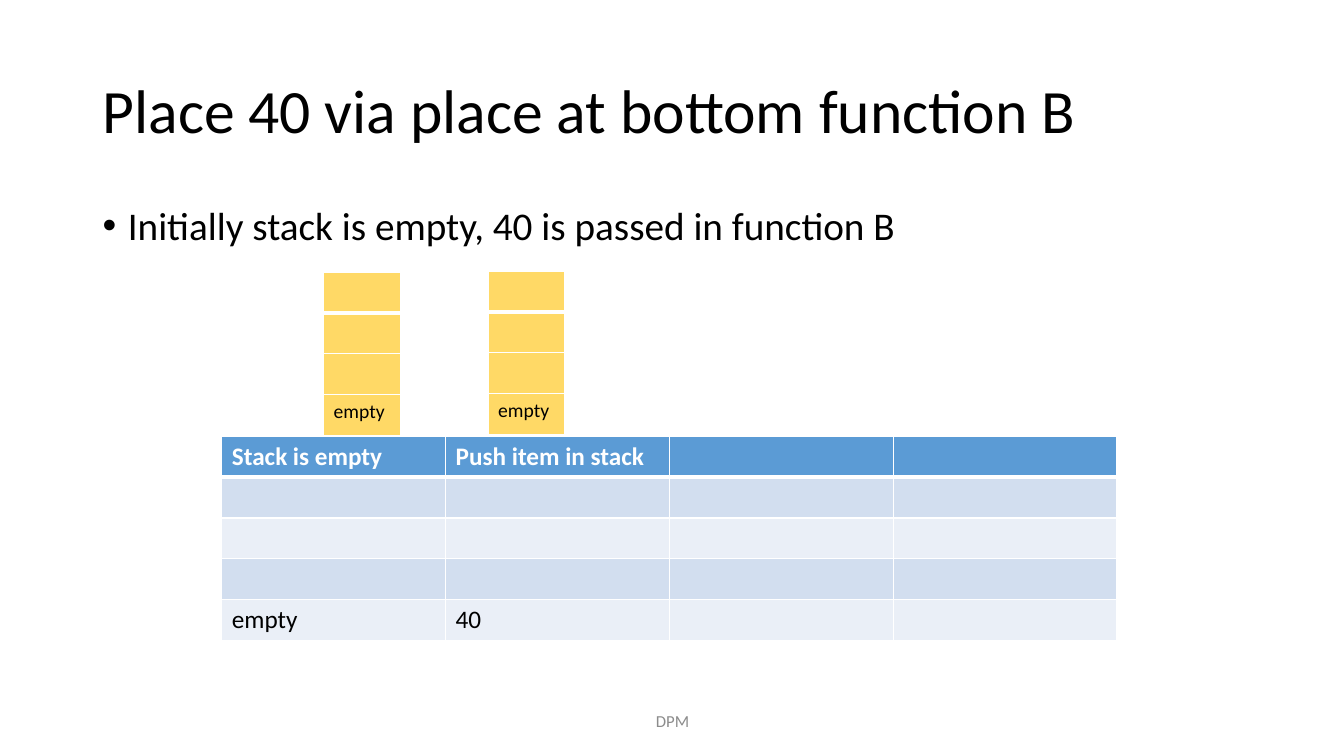
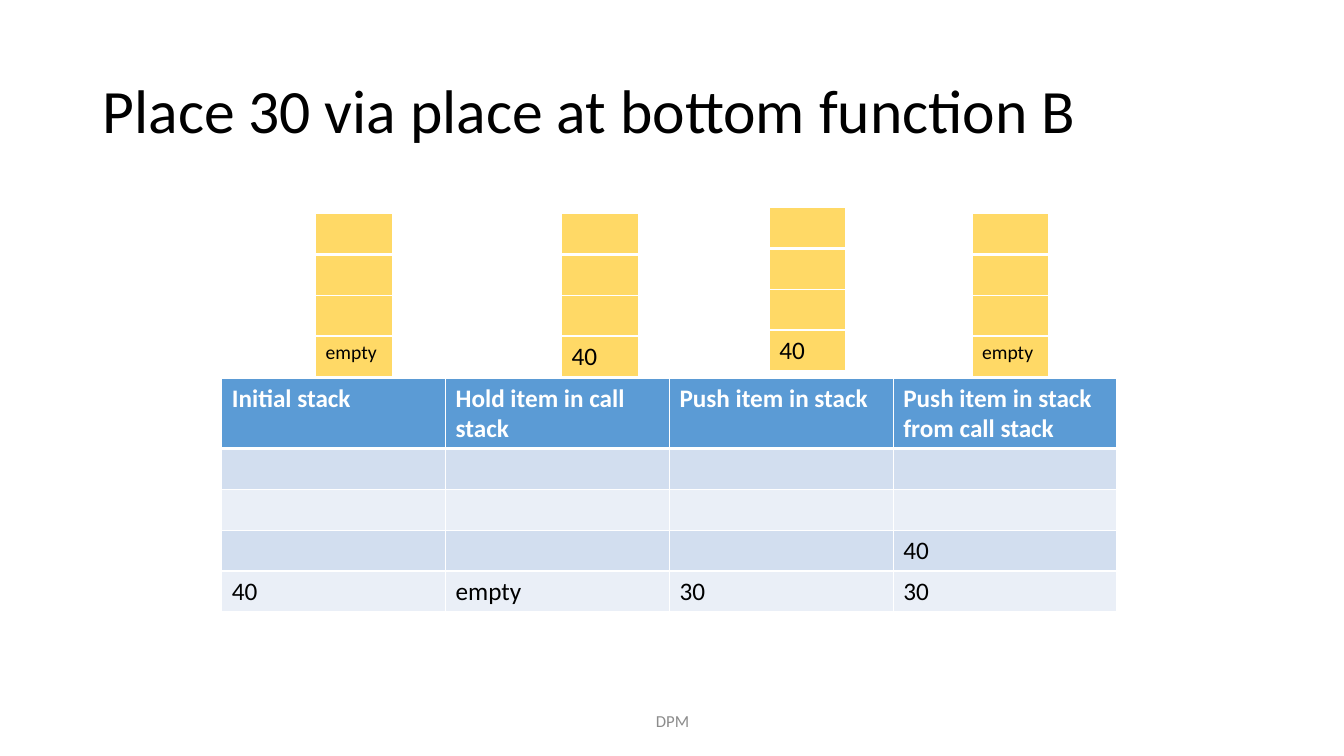
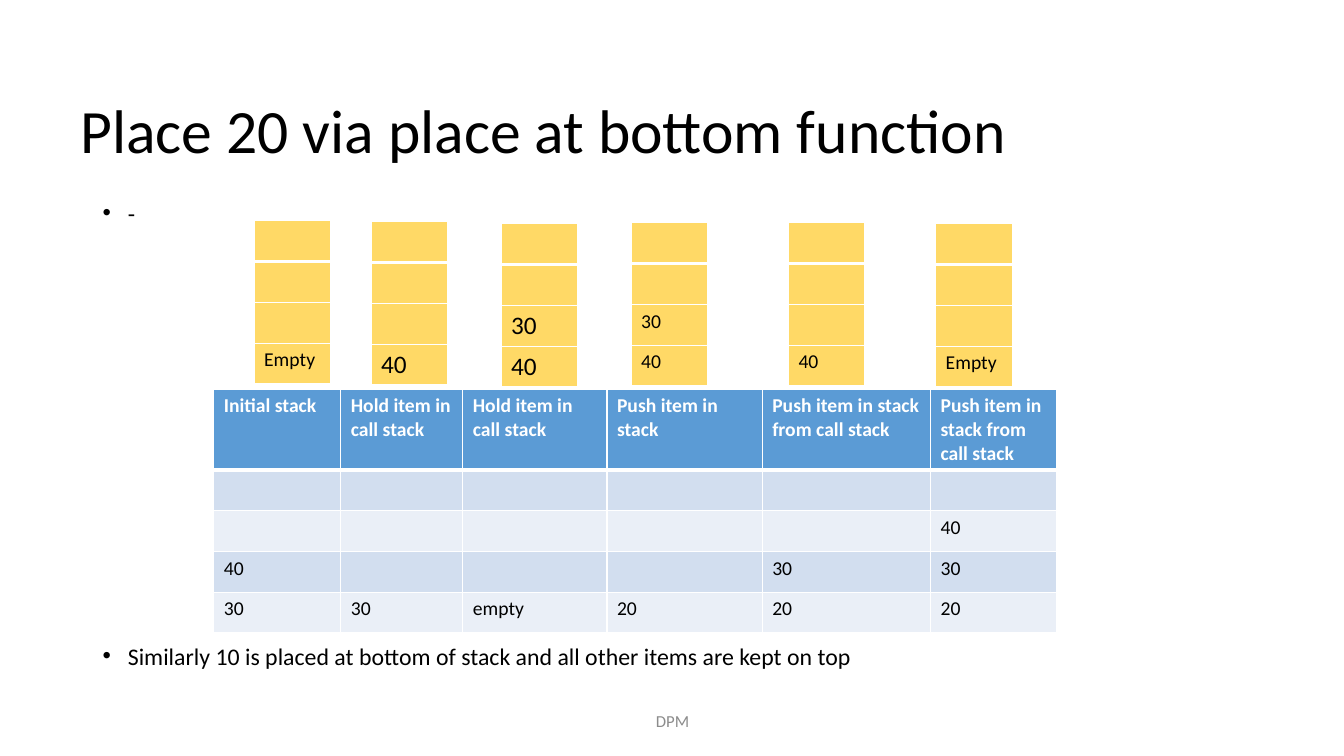
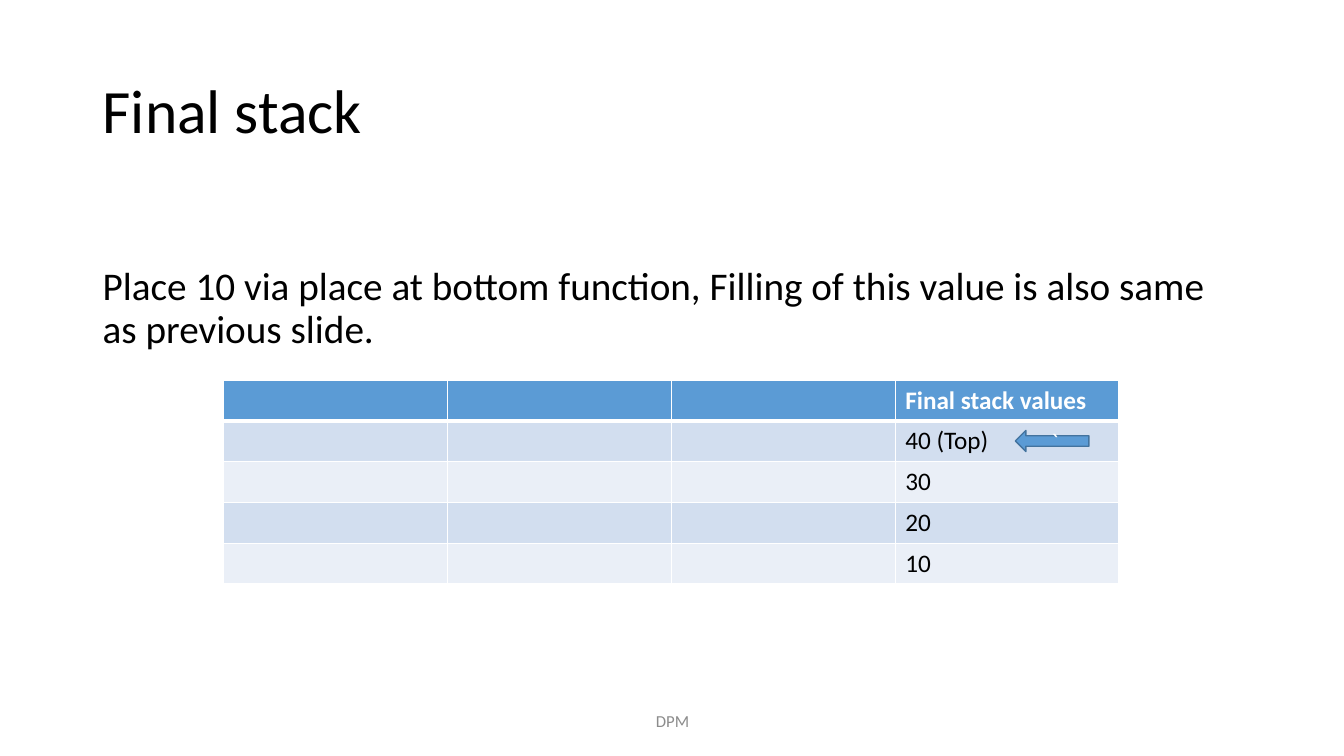
from lxml.etree import SubElement
from pptx import Presentation
from pptx.dml.color import RGBColor
from pptx.enum.shapes import MSO_SHAPE
from pptx.enum.text import MSO_ANCHOR, PP_ALIGN
from pptx.oxml.ns import qn
from pptx.util import Inches, Pt

COLORS = {
    "text": "000000",
    "white": "FFFFFF",
    "header": "5B9BD5",
    "band_dark": "D2DEEF",
    "band_light": "EAEFF7",
    "stack": "FFD966",
    "arrow_line": "43739E",
    "footer": "8C8C8C",
}
FONT = "Calibri"
ROW_HEIGHT = 0.405
STACK_WIDTH = 0.76
FOUR_COLUMNS = [2.22] * 4


def color(name):
    return RGBColor.from_string(COLORS[name])


class StackDeck:
    def __init__(self):
        self.deck = Presentation()
        self.deck.slide_width = Inches(13.33)
        self.deck.slide_height = Inches(7.5)
        self.page = None

    def add_page(self, title, left=0.92, top=0.4):
        self.page = self.deck.slides.add_slide(self.deck.slide_layouts[6])
        self.text(title, left, top, 11.5, 1.45, 44, spacing=0.9, anchor=MSO_ANCHOR.MIDDLE)
        self.text("DPM", 4.42, 6.95, 4.5, 0.4, 12, "footer",
                  anchor=MSO_ANCHOR.MIDDLE, align=PP_ALIGN.CENTER)

    def style(self, para, size, color_name, bold=False):
        for span in para.runs:
            span.font.name = FONT
            span.font.size = Pt(size)
            span.font.bold = bold
            span.font.color.rgb = color(color_name)

    def text(self, words, left, top, width, height, size, color_name="text",
             spacing=None, anchor=MSO_ANCHOR.TOP, align=PP_ALIGN.LEFT):
        box = self.page.shapes.add_textbox(Inches(left), Inches(top), Inches(width), Inches(height))
        frame = box.text_frame
        frame.word_wrap = True
        frame.vertical_anchor = anchor
        frame.text = words
        para = frame.paragraphs[0]
        para.alignment = align
        para.line_spacing = spacing
        self.style(para, size, color_name)
        return para

    def bullet(self, words, top, size, spacing):
        para = self.text(words, 0.92, top, 11.5, 0.5, size, spacing=spacing)
        properties = para._p.get_or_add_pPr()
        properties.set("marL", str(Inches(0.25)))
        properties.set("indent", str(-Inches(0.25)))
        SubElement(properties, qn("a:buFont"), typeface="Arial")
        SubElement(properties, qn("a:buChar"), char="•")

    def border(self, cell, side, points):
        line = SubElement(cell._tc.get_or_add_tcPr(), qn("a:ln" + side), w=str(Pt(points)))
        fill = SubElement(line, qn("a:solidFill"))
        SubElement(fill, qn("a:srgbClr"), val=COLORS["white"])

    def grid(self, left, top, widths, heights, fills, texts, size, header=False):
        frame = self.page.shapes.add_table(
            len(heights), len(widths), Inches(left), Inches(top),
            Inches(sum(widths)), Inches(sum(heights)))
        table = frame.table
        for column, width in zip(table.columns, widths):
            column.width = Inches(width)
        for number, (row, height) in enumerate(zip(table.rows, heights)):
            row.height = Inches(height)
            heading = header and number == 0
            for index, cell in enumerate(row.cells):
                self.border(cell, "L", 1)
                self.border(cell, "R", 1)
                self.border(cell, "T", 3 if number == 1 else 1)
                self.border(cell, "B", 3 if number == 0 else 1)
                cell.fill.solid()
                cell.fill.fore_color.rgb = color(fills[number])
                cell.text = texts.get((number, index), "")
                self.style(cell.text_frame.paragraphs[0], size,
                           "white" if heading else "text", heading)

    def steps(self, left, top, widths, texts, size=18, header_height=ROW_HEIGHT):
        fills = ["header"] + ["band_dark", "band_light"] * 2
        self.grid(left, top, widths, [header_height] + [ROW_HEIGHT] * 4,
                  fills, texts, size, header=True)

    def stack(self, left, top, size, *values):
        first = 4 - len(values)
        texts = {(first + offset, 0): value for offset, value in enumerate(values)}
        self.grid(left, top, [STACK_WIDTH], [ROW_HEIGHT] * 4, ["stack"] * 4, texts, size)

    def arrow(self, words, left, top, width, height):
        shape = self.page.shapes.add_shape(
            MSO_SHAPE.LEFT_ARROW, Inches(left), Inches(top), Inches(width), Inches(height))
        shape.shadow.inherit = False
        shape.fill.solid()
        shape.fill.fore_color.rgb = color("header")
        shape.line.color.rgb = color("arrow_line")
        shape.line.width = Pt(1)
        shape.text_frame.text = words
        shape.text_frame.vertical_anchor = MSO_ANCHOR.MIDDLE
        para = shape.text_frame.paragraphs[0]
        para.alignment = PP_ALIGN.CENTER
        self.style(para, 18, "white")


def headed(headings, values):
    texts = {(0, index): heading for index, heading in enumerate(headings)}
    return {**texts, **values}


def main():
    show = StackDeck()

    show.add_page("Place 40 via place at bottom function B")
    show.bullet("Initially stack is empty, 40 is passed in function B", 2, 28, 0.9)
    show.steps(2.2, 4.33, FOUR_COLUMNS, headed(
        ["Stack is empty", "Push item in stack"],
        {(4, 0): "empty", (4, 1): "40"}))
    show.stack(3.21, 2.7, 14, "empty")
    show.stack(4.84, 2.69, 14, "empty")

    show.add_page("Place 30 via place at bottom function B")
    show.steps(2.2, 3.75, FOUR_COLUMNS, headed(
        ["Initial stack", "Hold item in call stack", "Push item in stack",
         "Push item in stack from call stack"],
        {(3, 3): "40", (4, 0): "40", (4, 1): "empty", (4, 2): "30", (4, 3): "30"}),
        header_height=0.7)
    for left, top, size, value in [
        (3.13, 2.12, 14, "empty"),
        (5.57, 2.12, 18, "40"),
        (7.63, 2.06, 18, "40"),
        (9.64, 2.12, 14, "empty"),
    ]:
        show.stack(left, top, size, value)

    show.add_page("Place 20 via place at bottom function", 0.7, 0.6)
    show.bullet("-", 2, 17, 0.7)
    show.bullet("Similarly 10 is placed at bottom of stack and all other items are kept on top",
                6.39, 17, 0.7)
    show.steps(2.12, 3.86, [1.26, 1.21, 1.43, 1.54, 1.67, 1.25], headed(
        ["Initial stack", "Hold item in call stack", "Hold item in call stack",
         "Push item in stack", "Push item in stack from call stack",
         "Push item in stack from call stack"],
        {(2, 5): "40",
         (3, 0): "40", (3, 4): "30", (3, 5): "30",
         (4, 0): "30", (4, 1): "30", (4, 2): "empty",
         (4, 3): "20", (4, 4): "20", (4, 5): "20"}),
        size=14, header_height=0.8)
    for left, top, size, values in [
        (2.52, 2.19, 14, ["Empty"]),
        (3.68, 2.2, 18, ["40"]),
        (4.97, 2.22, 18, ["30", "40"]),
        (6.26, 2.21, 14, ["30", "40"]),
        (7.82, 2.21, 14, ["40"]),
        (9.28, 2.22, 14, ["Empty"]),
    ]:
        show.stack(left, top, size, *values)

    show.add_page("Final stack")
    show.text("Place 10 via place at bottom function, Filling of this value is also same "
              "as previous slide.", 0.92, 2.6, 11.5, 1, 28, spacing=0.9)
    show.steps(2.22, 3.77, FOUR_COLUMNS, {
        (0, 3): "Final stack values", (1, 3): "40 (Top)",
        (2, 3): "30", (3, 3): "20", (4, 3): "10"})
    show.arrow("`", 10.07, 4.27, 0.73, 0.21)

    show.deck.save("out.pptx")


if __name__ == "__main__":
    main()
